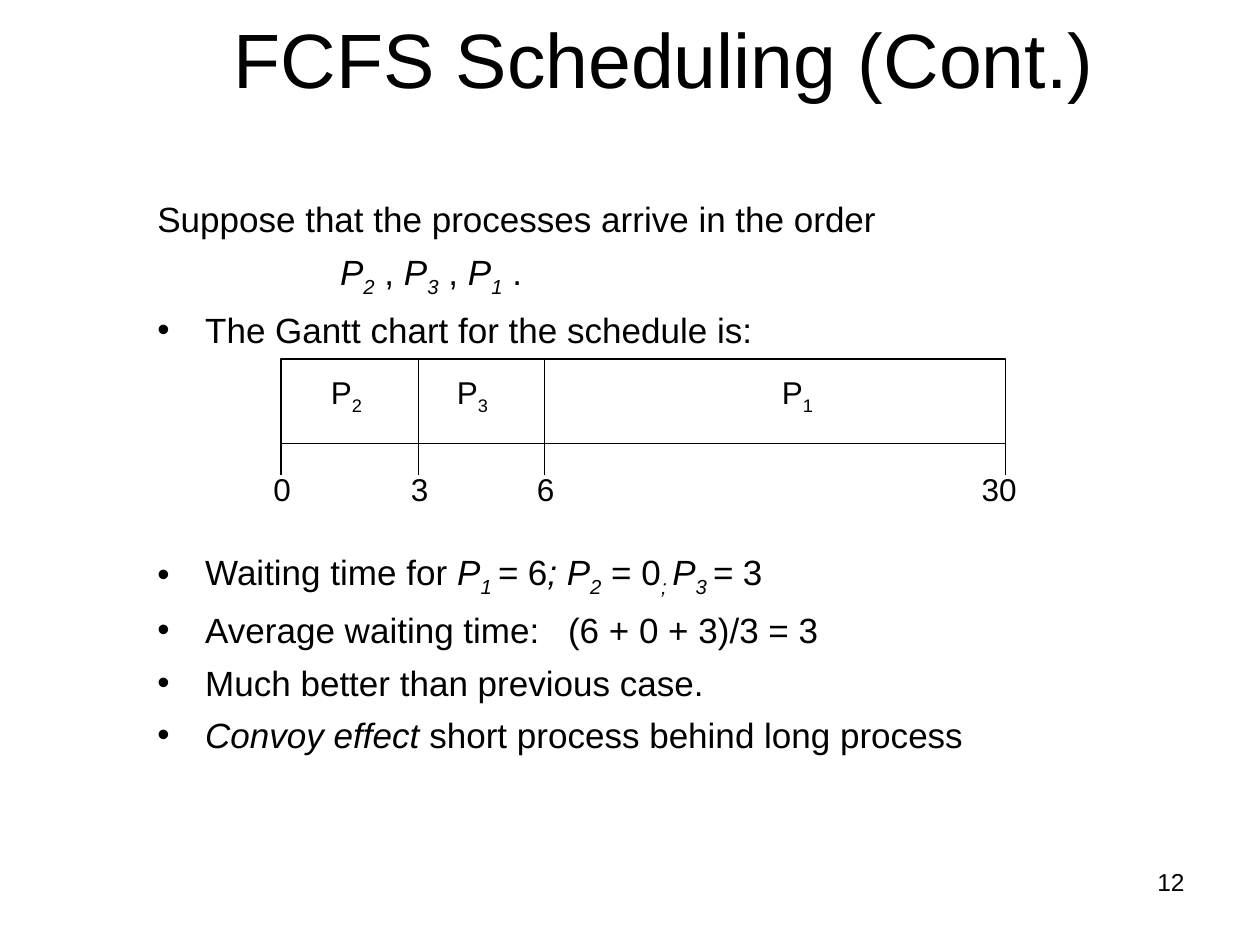
import pptx
import pptx.util
import pptx.dml.color
import pptx.enum.shapes
import pptx.enum.text
import pptx.oxml
import pptx.oxml.ns

Inches = pptx.util.Inches
Pt = pptx.util.Pt
ALIGN = pptx.enum.text.PP_ALIGN
ANCHOR = pptx.enum.text.MSO_ANCHOR
COLORS = {"ink": "000000", "paper": "FFFFFF"}
FONT = "Arial"

ORDER = [("P", "i"), ("2", "is"), (" , ", ""), ("P", "i"), ("3", "is"),
         (" , ", ""), ("P", "i"), ("1", "is"), (" .", "")]
WAITS = [("Waiting time for ", ""), ("P", "i"), ("1 ", "is"), ("=", "i"),
         (" 6", ""), ("; P", "i"), ("2", "is"), (" = 0", ""), ("; ", "is"),
         ("P", "i"), ("3 ", "is"), ("= ", "i"), ("3", "")]
MEAN = [("Average waiting time:\t(6 + 0 + 3)/3 = 3", "")]
BETTER = [("Much better than previous case.", "")]
CONVOY = [("Convoy effect", "i"), (" short process behind long process", "")]

TOP, BASE, TICK = 2.85, 3.52, 3.77
MARKS = [("0", 2.23, 2.24), ("3", 3.32, 3.33), ("6", 4.32, 4.33), ("30", 7.98, 7.93)]
JOBS = [("2", 2.75), ("3", 3.75), ("1", 6.33)]


def color(name):
    return pptx.dml.color.RGBColor.from_string(COLORS[name])


def add_child(parent, tag, **attrs):
    node = pptx.oxml.parse_xml(f"<a:{tag} {pptx.oxml.ns.nsdecls('a')}/>")
    for key, value in attrs.items():
        node.set(key, str(value))
    parent.append(node)
    return node


def add_box(slide, left, top, width, height, anchor=ANCHOR.TOP, wrap=True):
    box = slide.shapes.add_textbox(Inches(left), Inches(top), Inches(width), Inches(height))
    frame = box.text_frame
    frame.word_wrap = wrap
    frame.vertical_anchor = anchor
    return frame


def add_runs(para, runs, size):
    for text, style in runs:
        run = para.add_run()
        run.text = text
        font = run.font
        font.name = FONT
        font.size = Pt(size)
        font.color.rgb = color("ink")
        font.italic = "i" in style
        if "s" in style:
            font._element.set("baseline", "-25000")


def add_line(slide, x, start, end):
    line = slide.shapes.add_connector(
        pptx.enum.shapes.MSO_CONNECTOR.STRAIGHT,
        Inches(x), Inches(start), Inches(x), Inches(end))
    line.line.color.rgb = color("ink")
    line.line.width = Pt(0.75)
    add_child(line._element.spPr, "effectLst")


def add_label(slide, center, middle, runs):
    width, height = 0.5, 0.4
    frame = add_box(slide, center - width / 2, middle - height / 2,
                    width, height, ANCHOR.MIDDLE, False)
    para = frame.paragraphs[0]
    para.alignment = ALIGN.CENTER
    add_runs(para, runs, 18)


def add_body(slide, top, height, rows):
    frame = add_box(slide, 1.15, top, 7.69, height)
    for index, (kind, runs) in enumerate(rows):
        para = frame.paragraphs[0] if index == 0 else frame.add_paragraph()
        props = para._p.get_or_add_pPr()
        if kind == "bullet":
            props.set("marL", str(Inches(0.38)))
            props.set("indent", str(-Inches(0.38)))
            add_child(props, "buFont", typeface=FONT)
            add_child(props, "buChar", char="•")
        elif kind == "deep":
            props.set("marL", str(Inches(1.45)))
        if any("\t" in text for text, _ in runs):
            tabs = add_child(props, "tabLst")
            add_child(tabs, "tab", pos=Inches(3.26), algn="l")
        if index:
            para.space_before = Pt(6)
        add_runs(para, runs, 20)


def add_gantt(slide):
    left, right = MARKS[0][1], MARKS[-1][1]
    bar = slide.shapes.add_shape(
        pptx.enum.shapes.MSO_SHAPE.RECTANGLE,
        Inches(left), Inches(TOP), Inches(right - left), Inches(BASE - TOP))
    bar.shadow.inherit = False
    bar.fill.solid()
    bar.fill.fore_color.rgb = color("paper")
    bar.line.color.rgb = color("ink")
    bar.line.width = Pt(0.75)
    for job, center in JOBS:
        add_label(slide, center, 3.13, [("P", ""), (job, "s")])
    for _, x, _ in MARKS[1:-1]:
        add_line(slide, x, TOP, BASE)
    for time, x, center in MARKS:
        add_line(slide, x, BASE, TICK)
        add_label(slide, center, 3.88, [(time, "")])


def main():
    deck = pptx.Presentation()
    deck.slide_width, deck.slide_height = Inches(10), Inches(7.5)
    slide = deck.slides.add_slide(deck.slide_layouts[6])

    title = add_box(slide, 1.28, 0, 7.98, 0.92, ANCHOR.MIDDLE).paragraphs[0]
    title.alignment = ALIGN.CENTER
    add_runs(title, [("FCFS Scheduling (Cont.)", "")], 44)

    add_body(slide, 1.52, 1.33, [
        ("plain", [("Suppose that the processes arrive in the order", "")]),
        ("deep", ORDER),
        ("bullet", [("The Gantt chart for the schedule is:", "")]),
    ])
    add_gantt(slide)
    add_body(slide, 4.32, 1.67, [("bullet", runs) for runs in (WAITS, MEAN, BETTER, CONVOY)])

    number = add_box(slide, 7.17, 6.83, 2.33, 0.52).paragraphs[0]
    number.alignment = ALIGN.RIGHT
    add_runs(number, [("12", "")], 14)
    deck.save("out.pptx")


if __name__ == "__main__":
    main()
